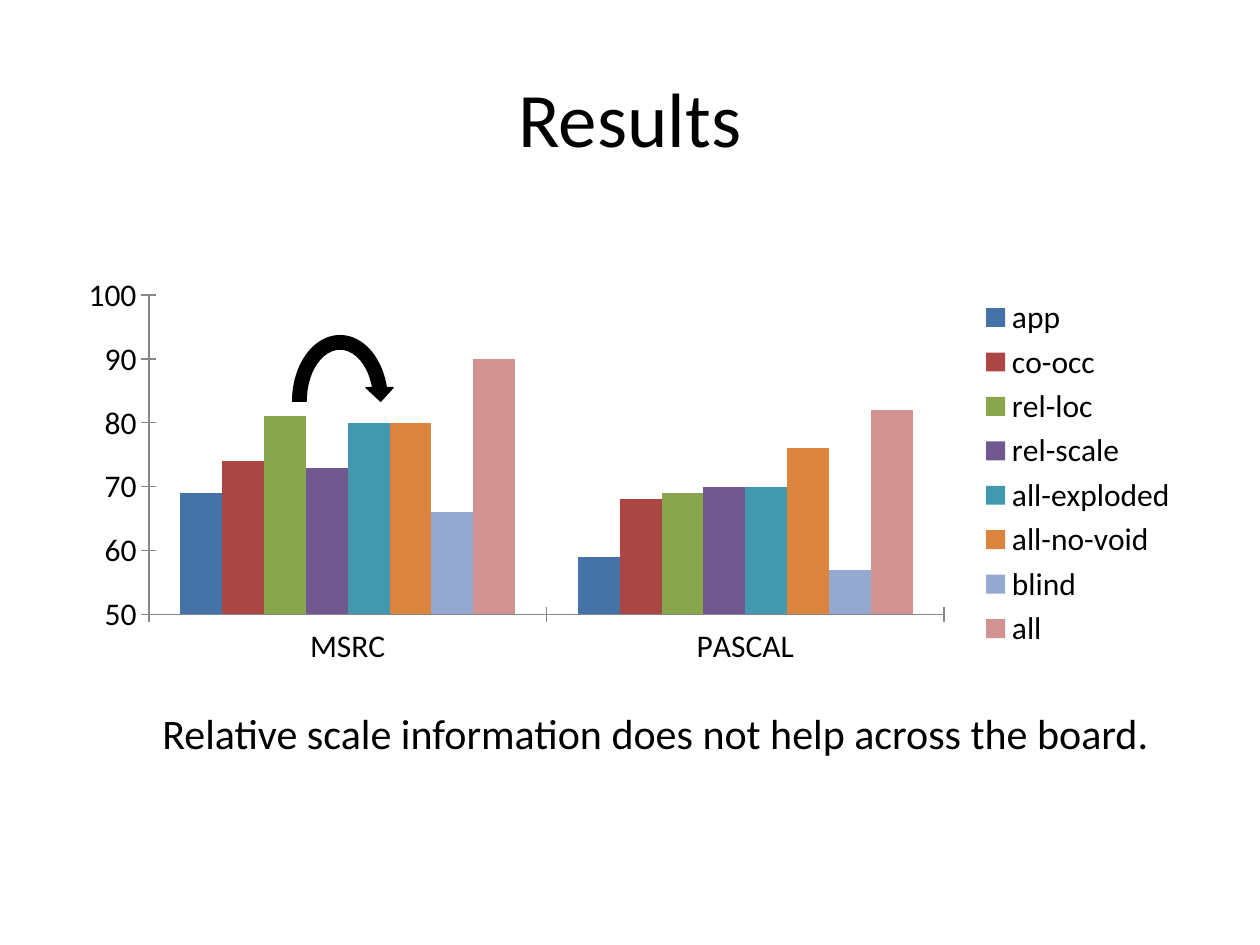
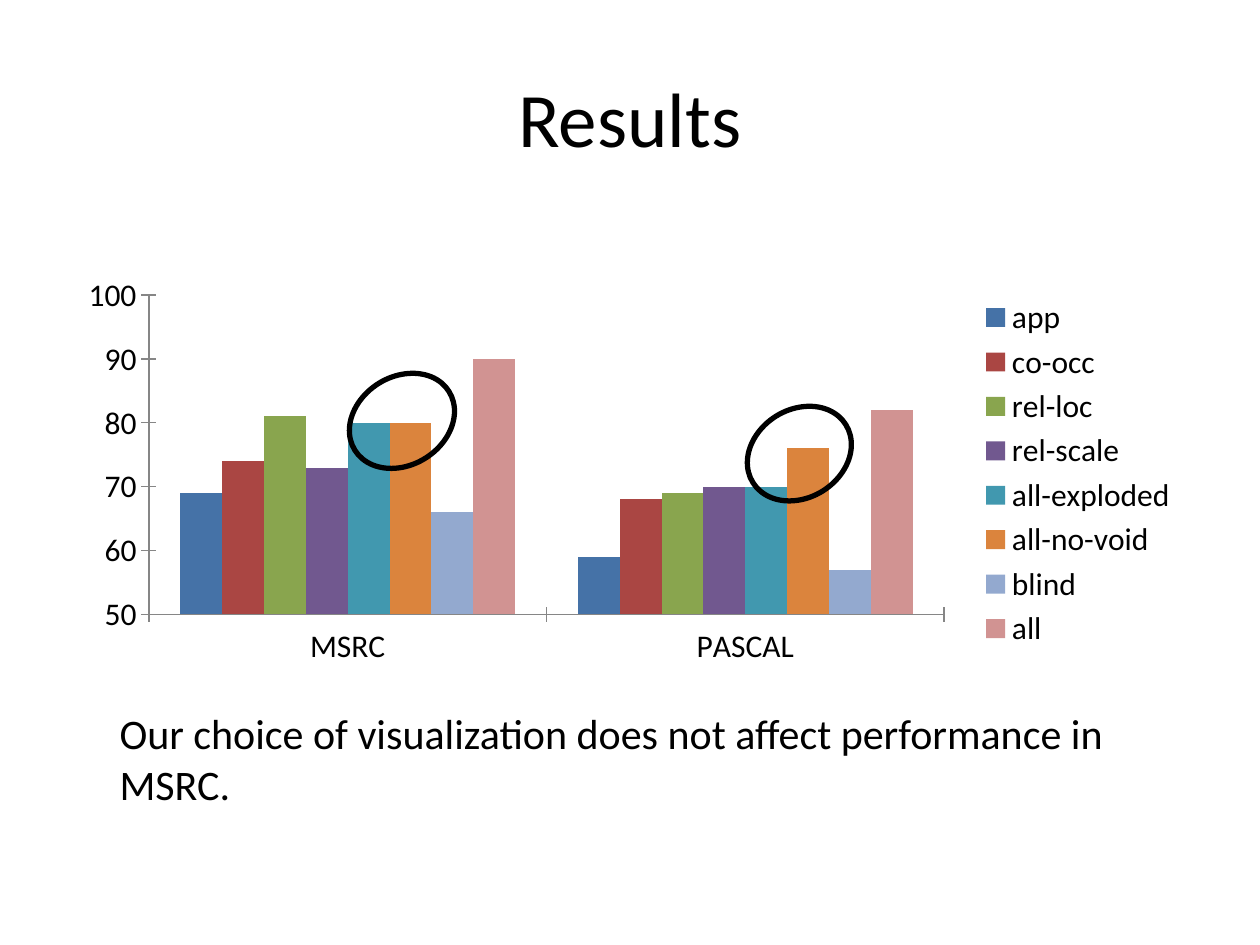
from dataclasses import dataclass

from lxml import etree
from pptx import Presentation
from pptx.chart import data
from pptx.dml.color import RGBColor
from pptx.enum import chart as charts, shapes, text
from pptx.oxml import ns
from pptx.util import Pt


@dataclass(frozen=True)
class Theme:
    font: str = "Calibri"
    ink: RGBColor = RGBColor.from_string("000000")
    paper: RGBColor = RGBColor.from_string("FFFFFF")
    axis: RGBColor = RGBColor.from_string("868686")
    title_size: Pt = Pt(44)
    takeaway_size: Pt = Pt(24)
    label_size: Pt = Pt(18)


theme = Theme()

datasets = ["MSRC", "PASCAL"]
methods = [
    ("app", (69, 59), "4572A7"),
    ("co-occ", (74, 68), "AA4643"),
    ("rel-loc", (81, 69), "89A54E"),
    ("rel-scale", (73, 70), "71588F"),
    ("all-exploded", (80, 70), "4198AF"),
    ("all-no-void", (80, 76), "DB843D"),
    ("blind", (66, 57), "93A9CF"),
    ("all", (90, 82), "D19392"),
]
plot_area = {"x": 0.07, "y": 0.06, "w": 0.71, "h": 0.79}
score_scale = {"minimum_scale": 50, "maximum_scale": 100, "major_unit": 10}
tick_style = {
    "major_tick_mark": charts.XL_TICK_MARK.CROSS,
    "minor_tick_mark": charts.XL_TICK_MARK.NONE,
}
arrow = shapes.MSO_SHAPE.CIRCULAR_ARROW
ring = shapes.MSO_SHAPE.OVAL

findings = [
    {
        "takeaway": "Relative scale information does not help across the board.",
        "place": (85.7, 401, 596.2, 36),
        "marks": [(arrow, (163.4, 187.9, 61.9, 82.8), 0, 0.75)],
    },
    {
        "takeaway": "Our choice of visualization does not affect performance in MSRC.",
        "place": (61.2, 401, 620.6, 65.5),
        "marks": [
            (ring, (198, 215.3, 63.4, 50.4), 328.1, 3),
            (ring, (425.5, 234, 62.6, 50.4), 328.1, 3),
        ],
    },
]


def apply(target, values):
    for name, value in values.items():
        setattr(target, name, value)


def write(slide, words, place, size, frame_style, alignment):
    frame = slide.shapes.add_textbox(*map(Pt, place)).text_frame
    apply(frame, {"word_wrap": True, **frame_style})
    line = frame.paragraphs[0]
    line.alignment = alignment
    run = line.add_run()
    run.text = words
    apply(run.font, {"name": theme.font, "size": size})
    run.font.color.rgb = theme.ink


deck = Presentation()
apply(deck, {"slide_width": Pt(720), "slide_height": Pt(540)})

for finding in findings:
    slide = deck.slides.add_slide(deck.slide_layouts[6])
    slide.background.fill.solid()
    slide.background.fill.fore_color.rgb = theme.paper

    write(slide, "Results", (36, 21.6, 648, 90), theme.title_size,
          {"vertical_anchor": text.MSO_ANCHOR.MIDDLE}, text.PP_ALIGN.CENTER)

    scores = data.CategoryChartData()
    scores.categories = datasets
    for method, values, _ in methods:
        scores.add_series(method, values)
    results = slide.shapes.add_chart(
        charts.XL_CHART_TYPE.COLUMN_CLUSTERED,
        Pt(40.3), Pt(154.8), Pt(640), Pt(231.1), scores).chart
    apply(results, {"has_title": False, "has_legend": True})
    apply(results.font, {"name": theme.font, "size": theme.label_size})
    results.font.color.rgb = theme.ink
    apply(results.legend, {"position": charts.XL_LEGEND_POSITION.RIGHT,
                           "include_in_layout": False})

    bars = results.plots[0]
    apply(bars, {"gap_width": 150, "overlap": 0, "vary_by_categories": False})
    for series, (_, _, colour) in zip(bars.series, methods):
        series.format.fill.solid()
        series.format.fill.fore_color.rgb = RGBColor.from_string(colour)

    for axis in (results.category_axis, results.value_axis):
        apply(axis, tick_style)
        axis.format.line.color.rgb = theme.axis
        axis.format.line.width = Pt(0.75)
    apply(results.value_axis, score_scale)
    gridline = results.value_axis.major_gridlines.format.line
    gridline.color.rgb = theme.paper
    gridline.width = Pt(0.75)

    area = results.plots[0]._element.getparent()
    for old_layout in area.findall(ns.qn("c:layout")):
        area.remove(old_layout)
    layout = etree.Element(ns.qn("c:layout"))
    area.insert(0, layout)
    manual = etree.SubElement(layout, ns.qn("c:manualLayout"))
    settings = {"layoutTarget": "inner", "xMode": "edge", "yMode": "edge", **plot_area}
    for tag, value in settings.items():
        etree.SubElement(manual, ns.qn(f"c:{tag}")).set("val", str(value))

    for outline, place, rotation, weight in finding["marks"]:
        mark = slide.shapes.add_shape(outline, *map(Pt, place))
        mark.rotation = rotation
        mark.shadow.inherit = False
        if outline == arrow:
            mark.fill.solid()
            mark.fill.fore_color.rgb = theme.ink
        else:
            mark.fill.background()
        mark.line.color.rgb = theme.ink
        mark.line.width = Pt(weight)

    write(slide, finding["takeaway"], finding["place"], theme.takeaway_size,
          {"auto_size": text.MSO_AUTO_SIZE.SHAPE_TO_FIT_TEXT}, text.PP_ALIGN.LEFT)

deck.save("out.pptx")
